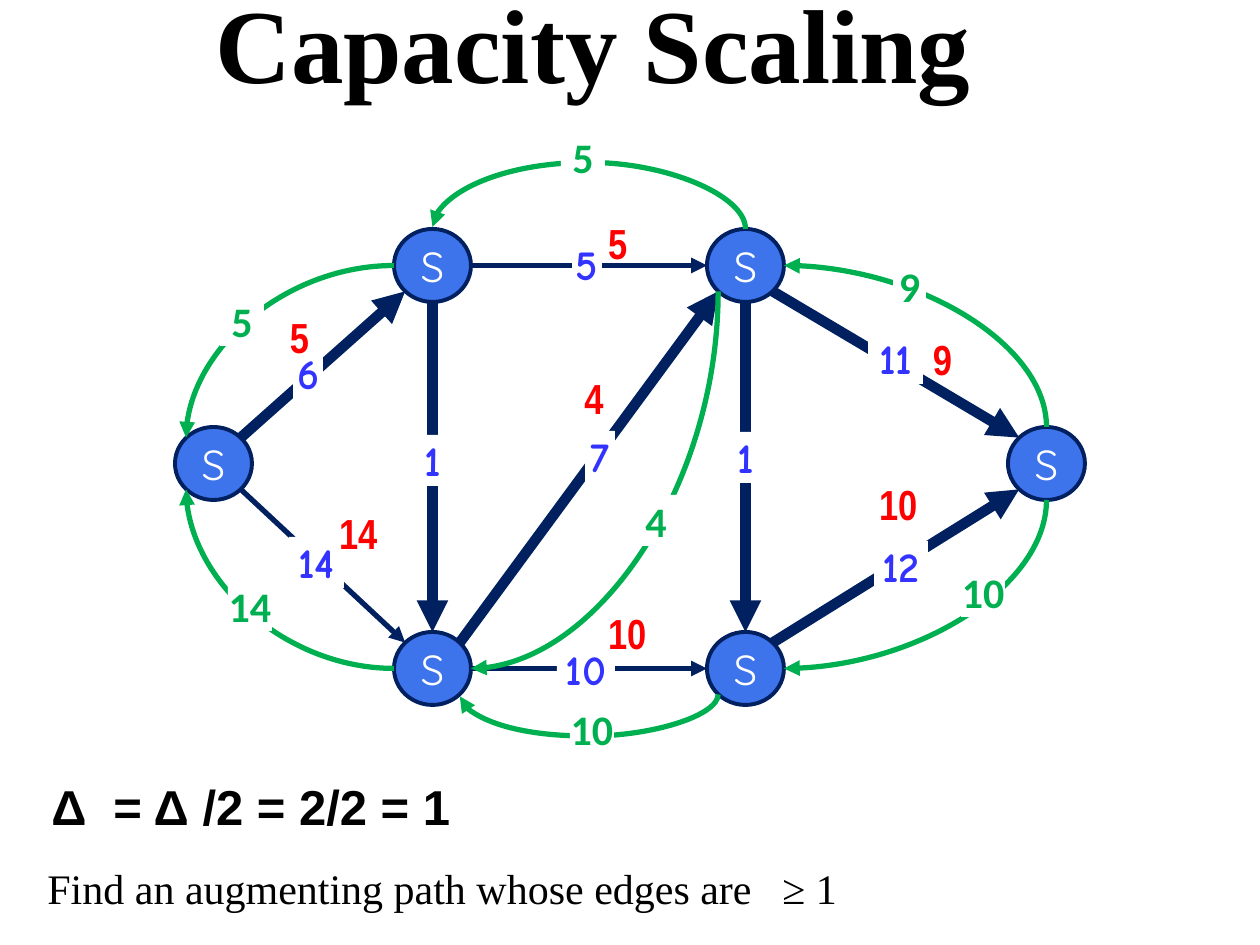
from lxml import etree
from pptx import Presentation
from pptx import util as u
from pptx.dml.color import RGBColor
from pptx.enum import shapes, text
from pptx.oxml.ns import qn

SCALE = 914400 / 126
NAVY = RGBColor(0x00, 0x20, 0x60)
BLUE = RGBColor(0x3D, 0x73, 0xEB)
INK = RGBColor(0x33, 0x33, 0xFF)
RED = RGBColor(0xFF, 0x00, 0x00)
GREEN = RGBColor(0x00, 0xB0, 0x50)
BLACK = RGBColor(0x00, 0x00, 0x00)
WHITE = RGBColor(0xFF, 0xFF, 0xFF)

LEFT, MID = text.PP_ALIGN.LEFT, text.PP_ALIGN.CENTER
TOP, BASE = text.MSO_ANCHOR.TOP, text.MSO_ANCHOR.BOTTOM

NODE_W, NODE_H = 77, 73
NODES = {
    "s": (175, 427), "a": (394, 229), "b": (394, 632),
    "t": (1008, 427), "c": (707, 229), "d": (707, 632),
}
SITES = {
    "N": (0, -1), "S": (0, 1), "W": (-1, 0), "E": (1, 0),
    "NW": (-0.71, -0.71), "NE": (0.71, -0.71),
    "SW": (-0.71, 0.71), "SE": (0.71, 0.71),
}
EDGES = [
    ("s", "SE", "b", "NW", 3), ("b", "E", "d", "W", 3),
    ("s", "NE", "a", "SW", 6), ("a", "S", "b", "N", 6),
    ("a", "E", "c", "W", 3), ("c", "S", "d", "N", 6),
    ("d", "NE", "t", "SW", 6), ("c", "SE", "t", "NW", 6),
    ("b", "NE", "c", "SW", 6),
]
SIDEWAYS = [("b", "W", "s", "SW"), ("a", "W", "s", "NW")]
UPRIGHT = [("t", "S", "d", "E"), ("t", "N", "c", "E"), ("c", "SW", "b", "E")]
LOOPS = [("d", "SW", "b", "SE", 42), ("c", "N", "a", "N", -67)]

CAPS = [
    ("5", 572, 239, 30), ("10", 557, 644, 58), ("1", 418, 435, 30),
    ("1", 731, 432, 30), ("12", 874, 541, 54), ("11", 868, 333, 55),
    ("6", 293, 348, 30), ("14", 289, 537, 55), ("7", 585, 431, 30),
]
FLOWS = [
    ("10", 879, 478, 44), ("10", 608, 607, 44), ("14", 339, 507, 44),
    ("5", 290, 311, 44), ("5", 608, 217, 44),
]
MID_FLOWS = [("9", 923, 333, 39), ("4", 572, 372, 44)]
BACKS = [
    ("10", 961, 566, 44), ("10", 570, 703, 44), ("14", 228, 580, 44),
    ("5", 220, 295, 44), ("5", 561, 131, 44), ("9", 893, 260, 33),
    ("4", 634, 495, 44),
]


def px(n):
    return u.Emu(round(n * SCALE))


def site(node, side):
    x, y = NODES[node]
    dx, dy = SITES[side]
    return x + NODE_W / 2 * (1 + dx), y + NODE_H / 2 * (1 + dy)


def write(shape, words, font, size, color, bold=True, align=MID, anchor=BASE, inset=0):
    frame = shape.text_frame
    frame.word_wrap = True
    frame.vertical_anchor = anchor
    if inset is not None:
        frame.margin_left = frame.margin_right = inset
        frame.margin_top = frame.margin_bottom = inset
    para = frame.paragraphs[0]
    para.alignment = align
    run = para.add_run()
    run.text = words
    run.font.name = font
    run.font.size = u.Pt(size)
    run.font.bold = bold
    run.font.color.rgb = color
    return para


def add_line(slide, words, box, font, size, bold=True, align=LEFT, tab=None):
    shape = slide.shapes.add_textbox(*map(px, box))
    para = write(shape, words, font, size, BLACK, bold, align, inset=None)
    if tab:
        props = para._p.get_or_add_pPr()
        tabs = etree.SubElement(props, qn("a:tabLst"))
        etree.SubElement(tabs, qn("a:tab"), pos=str(px(tab)), algn="l")


def add_node(slide, x, y):
    node = slide.shapes.add_shape(
        shapes.MSO_SHAPE.OVAL, px(x), px(y), px(NODE_W), px(NODE_H))
    node.shadow.inherit = False
    node.fill.solid()
    node.fill.fore_color.rgb = BLUE
    node.line.color.rgb = NAVY
    node.line.width = u.Pt(2.25)
    write(node, "S", "Quicksand", 24, WHITE, False, anchor=text.MSO_ANCHOR.MIDDLE)


def add_label(slide, item, font, color, tall, align=MID, anchor=BASE, plate=True):
    words, x, y, wide = item
    box = px(x), px(y), px(wide), px(tall)
    if plate:
        shape = slide.shapes.add_shape(shapes.MSO_SHAPE.RECTANGLE, *box)
        shape.shadow.inherit = False
        shape.fill.solid()
        shape.fill.fore_color.rgb = WHITE
        shape.line.fill.background()
    else:
        shape = slide.shapes.add_textbox(*box)
    write(shape, words, font, 24, color, align=align, anchor=anchor)


def add_arrow(slide, kind, start, end, color, width):
    arrow = slide.shapes.add_connector(kind, *map(px, (*start, *end)))
    arrow.line.color.rgb = color
    arrow.line.width = u.Pt(width)
    etree.SubElement(arrow.line._get_or_add_ln(), qn("a:tailEnd"), type="triangle")
    etree.SubElement(arrow._element.spPr, qn("a:effectLst"))
    return arrow


def add_curve(slide, start, end, upright=True, bulge=None):
    arrow = add_arrow(slide, shapes.MSO_CONNECTOR.CURVE, start, end, GREEN, 3)
    props = arrow._element.spPr
    shape = props.find(qn("a:prstGeom"))
    shape.set("prst", "curvedConnector3" if bulge else "curvedConnector2")
    if upright:
        (x1, y1), (x2, y2) = start, end
        wide, tall = abs(y2 - y1), abs(x2 - x1)
        arrow.left, arrow.top = px((x1 + x2 - wide) / 2), px((y1 + y2 - tall) / 2)
        arrow.width, arrow.height = px(wide), px(tall)
        frame = props.find(qn("a:xfrm"))
        down = y2 > y1
        frame.set("rot", str((90 if down else 270) * 60000))
        frame.set("flipH", "0")
        frame.set("flipV", "0" if down else "1")
    if bulge:
        guides = shape.find(qn("a:avLst"))
        if guides is None:
            guides = etree.SubElement(shape, qn("a:avLst"))
        ratio = round(bulge / (end[1] - start[1]) * 100000)
        etree.SubElement(guides, qn("a:gd"), name="adj1", fmla=f"val {ratio}")


def add_loop(slide, start, end, bulge):
    x, y = end
    add_curve(slide, start, (x, y + (2 if bulge > 0 else -2)), bulge=bulge)


def main():
    deck = Presentation()
    deck.slide_width, deck.slide_height = px(1260), px(945)
    slide = deck.slides.add_slide(deck.slide_layouts[6])
    add_line(slide, "Capacity Scaling", (50, 0, 1086, 111),
             "Times New Roman", 60, align=MID)
    for x, y in NODES.values():
        add_node(slide, x, y)
    for tail, out, head, into, width in EDGES:
        add_arrow(slide, shapes.MSO_CONNECTOR.STRAIGHT,
                  site(tail, out), site(head, into), NAVY, width)
    for item in CAPS:
        add_label(slide, item, "Comic Neue", INK, 51, anchor=TOP)
    add_line(slide, "Δ\t= Δ /2 = 2/2 = 1", (39, 774, 650, 67), "Arial", 28, tab=62)
    add_line(slide, "Find an augmenting path whose edges are\t≥ 1",
             (35, 852, 1097, 67), "Times New Roman", 24, False, tab=735)
    for items, align in ((FLOWS, LEFT), (MID_FLOWS, MID)):
        for item in items:
            add_label(slide, item, "Arial Narrow", RED, 51, align, plate=False)
    for curves, upright in ((SIDEWAYS, False), (UPRIGHT, True)):
        for tail, out, head, into in curves:
            add_curve(slide, site(tail, out), site(head, into), upright)
    for tail, out, head, into, bulge in LOOPS:
        add_loop(slide, site(tail, out), site(head, into), bulge)
    for item in BACKS:
        add_label(slide, item, "Calibri", GREEN, 51)
    deck.save("out.pptx")


if __name__ == "__main__":
    main()
